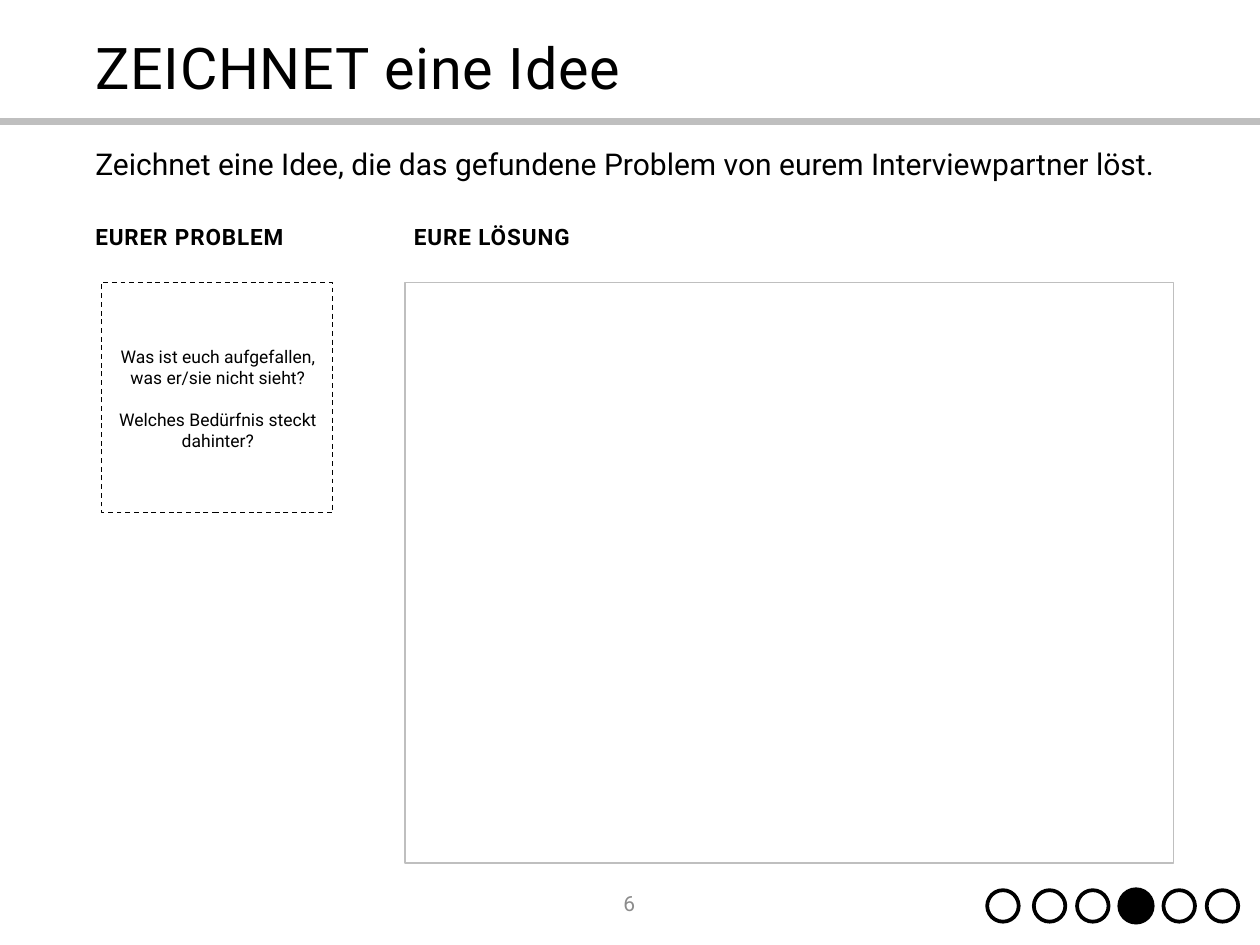
import pptx
import pptx.util
import pptx.dml.color
import pptx.enum.dml
import pptx.enum.shapes
import pptx.enum.text
import pptx.oxml.ns
import lxml.etree

Pt = pptx.util.Pt
Align = pptx.enum.text.PP_ALIGN
Anchor = pptx.enum.text.MSO_ANCHOR
Kind = pptx.enum.shapes.MSO_SHAPE

WIDE, HIGH = 14, 10.5
COLS, ROWS = 100, 75
FONT = "Roboto"
BLACK, WHITE, GREY, PALE = "000000", "FFFFFF", "8C8C8C", "BFBFBF"

LEFT, RIGHT, SPAN = 6.86, 32.15, 86.2
TOP, SIDE = 22.4, 18.3
RULE = 9.64

TITLE = ("ZEICHNET eine Idee", (LEFT, 1.15, SPAN, 9))
HEAD = dict(size=18, bold=True, lead=1.1, track=70)
TEXTS = [
    (["Zeichnet eine Idee, die das gefundene Problem von eurem Interviewpartner löst."],
     (LEFT, 11.5, SPAN, 12.4), dict(size=24, lead=0.9)),
    (["EURER PROBLEM"], (LEFT, 17.15, 21.7, 3.05), HEAD),
    (["EURE LÖSUNG"], (RIGHT, 17.15, 21.7, 3.05), HEAD),
    (["Was ist euch aufgefallen, was er/sie nicht sieht?",
      "Welches Bedürfnis steckt dahinter?"],
     (8.14, 27.1, SIDE, 9.15), dict(size=14, align=Align.CENTER, gap=16.5)),
    (["6"], (38.7, 69.7, 22.5, 4),
     dict(size=16.8, color=GREY, align=Align.CENTER, anchor=Anchor.MIDDLE)),
]
FRAMES = [
    ((RIGHT, TOP, 61, 46.1), PALE, False),
    ((8.07, TOP, SIDE, SIDE), BLACK, True),
]
STEPS = [79.6] + [83.3 + 3.43 * n for n in range(5)]
NOW, MID = 3, 71.9


def col(n):
    return pptx.util.Inches(WIDE * n / COLS)


def row(n):
    return pptx.util.Inches(HIGH * n / ROWS)


def area(box):
    x, y, w, h = box
    return col(x), row(y), col(w), row(h)


def rgb(code):
    return pptx.dml.color.RGBColor.from_string(code)


def write(frame, lines, size, color=BLACK, bold=False, lead=None, track=0,
          align=Align.LEFT, anchor=Anchor.TOP, gap=0):
    frame.word_wrap = True
    frame.auto_size = pptx.enum.text.MSO_AUTO_SIZE.NONE
    frame.vertical_anchor = anchor
    frame.text = "\n".join(lines)
    for i, para in enumerate(frame.paragraphs):
        para.alignment = align
        para.line_spacing = lead
        para.space_before = Pt(gap if i else 0)
        font = para.font
        font.name, font.size, font.bold = FONT, Pt(size), bold
        font.color.rgb = rgb(color)
        if track:
            for run in para.runs:
                run._r.get_or_add_rPr().set("spc", str(track))


def draw(slide, kind, box, fill=None, line=None, width=1, dash=False):
    shape = slide.shapes.add_shape(kind, *area(box))
    shape.shadow.inherit = False
    if fill:
        shape.fill.solid()
        shape.fill.fore_color.rgb = rgb(fill)
    else:
        shape.fill.background()
    if line:
        shape.line.color.rgb = rgb(line)
        shape.line.width = Pt(width)
        if dash:
            shape.line.dash_style = pptx.enum.dml.MSO_LINE.DASH
    else:
        shape.line.fill.background()


def main():
    deck = pptx.Presentation()
    deck.slide_width, deck.slide_height = col(COLS), row(ROWS)
    slide = deck.slides.add_slide(deck.slide_layouts[5])

    rule = slide.shapes.add_connector(
        pptx.enum.shapes.MSO_CONNECTOR.STRAIGHT, 0, row(RULE), col(COLS), row(RULE))
    rule.line.color.rgb = rgb(PALE)
    rule.line.width = Pt(5.25)
    lxml.etree.SubElement(rule._element.spPr, pptx.oxml.ns.qn("a:effectLst"))

    text, box = TITLE
    title = slide.shapes.title
    title.left, title.top, title.width, title.height = area(box)
    write(title.text_frame, [text], 46, lead=0.9, track=60, anchor=Anchor.MIDDLE)

    for box, line, dash in FRAMES:
        draw(slide, Kind.RECTANGLE, box, line=line, dash=dash)
    for lines, box, style in TEXTS:
        write(slide.shapes.add_textbox(*area(box)).text_frame, lines, **style)

    for i, x in enumerate(STEPS):
        size = 2.95 if i == NOW else 2.5
        box = (x - size / 2, MID - size / 2, size, size)
        if i == NOW:
            draw(slide, Kind.OVAL, box, fill=BLACK)
        else:
            draw(slide, Kind.OVAL, box, fill=WHITE, line=BLACK, width=3)

    deck.save("out.pptx")


if __name__ == "__main__":
    main()
